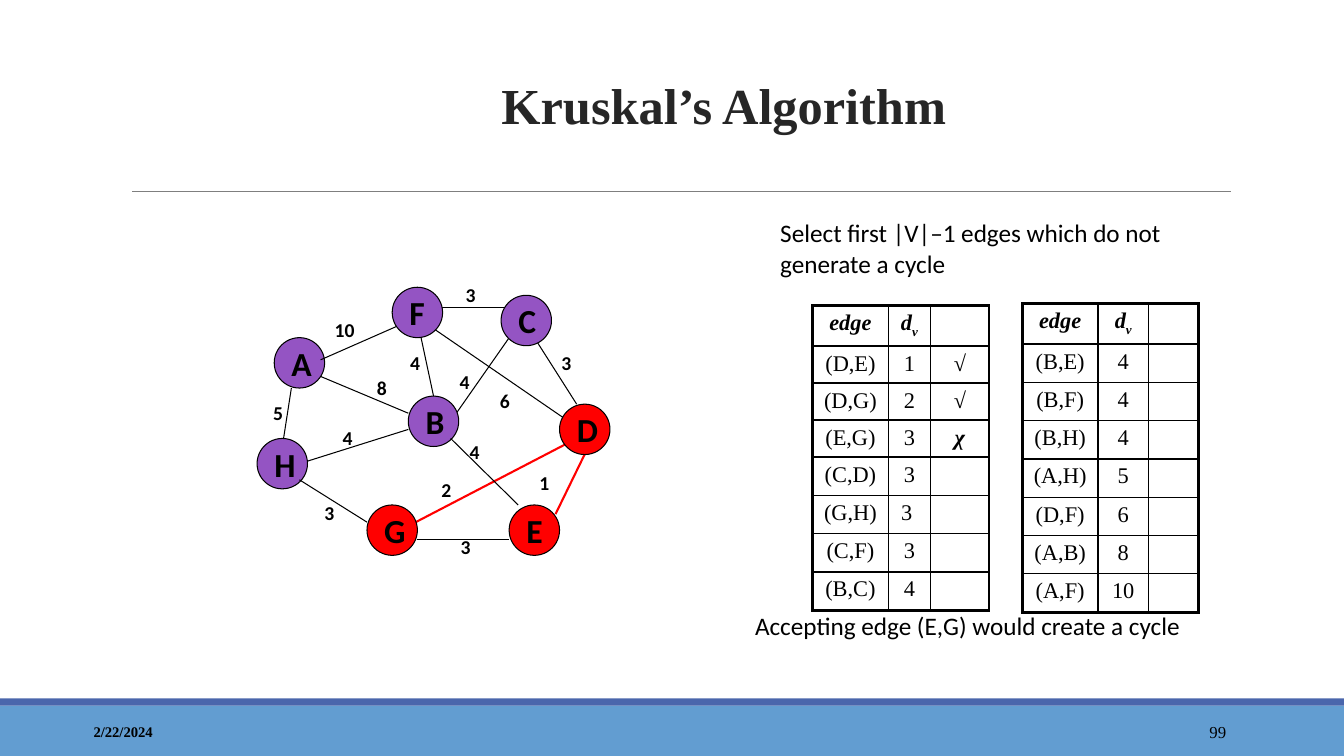
from lxml import etree
from pptx import Presentation
from pptx.dml.color import RGBColor
from pptx.enum import shapes, text
from pptx.oxml.ns import qn
from pptx.util import Inches, Pt

BLACK = RGBColor(0, 0, 0)
TITLE_GRAY = RGBColor(0x26, 0x26, 0x26)
RULE_GRAY = RGBColor(0x7F, 0x7F, 0x7F)
FOOTER_BLUE = RGBColor(0x62, 0x9D, 0xD1)
STRIPE_BLUE = RGBColor(0x4A, 0x66, 0xAC)
PURPLE = RGBColor(0x94, 0x54, 0xC3)
RED = RGBColor(0xFF, 0, 0)
SERIF, SANS = "Times New Roman", "Calibri"

TITLE = "Kruskal’s Algorithm"
BARS = [((0, 7, 13.33, 0.5), FOOTER_BLUE), ((0, 6.93, 13.33, 0.07), STRIPE_BLUE)]
DATE, PAGE = "2/22/2024", "99"
CAPTIONS = [
    ("Select first |V|–1 edges which do not generate a cycle", (7.64, 2.11, 4.42, 0.77)),
    ("Accepting edge (E,G) would create a cycle", (7.39, 6.01, 5.08, 0.43)),
]

NODE_SIZE = 0.5
NODES = {
    "A": (2.72, 3.35), "H": (2.55, 4.35), "B": (4.05, 3.93), "F": (3.89, 2.85),
    "E": (5.05, 5.01), "D": (5.55, 4.01), "C": (4.97, 2.93), "G": (3.64, 5.01),
}
REACHED = "DEG"
ACCEPTED = ("DE", "DG")
WIDE_LABELS = ("DE", "BE", "DF", "AF")
EDGES_BEHIND = [
    ("DE", (5.92, 4.26), (5.51, 5.1), "1", (5.25, 4.62)),
    ("BF", (4.14, 3.18), (4.3, 3.93), "4", (3.97, 3.43)),
    ("BC", (4.47, 4.18), (5.05, 3.35), "4", (4.46, 3.62)),
    ("DF", (5.64, 4.18), (4.3, 3.26), "6", (4.86, 3.81)),
    ("BH", (2.97, 4.6), (4.05, 4.26), "4", (3.3, 4.18)),
    ("DG", (3.97, 5.26), (5.72, 4.35), "2", (4.28, 4.69)),
    ("AH", (2.8, 4.43), (2.89, 3.85), "5", (2.61, 3.93)),
    ("AB", (3.05, 3.68), (4.05, 4.1), "8", (3.64, 3.68)),
    ("CF", (4.35, 3.05), (5.02, 3.05), "3", (4.52, 2.76)),
    ("CD", (5.3, 3.35), (5.72, 4.01), "3", (5.47, 3.43)),
]
EDGES_IN_FRONT = [
    ("BE", (4.47, 4.35), (5.14, 5.01), "4", (4.56, 4.32)),
    ("EG", (5.05, 5.35), (4.14, 5.35), "3", (4.47, 5.26)),
    ("GH", (3.64, 5.18), (2.97, 4.76), "3", (3.12, 4.92)),
    ("AF", (3.18, 3.57), (3.93, 3.24), "10", (3.22, 3.1)),
]

HEADER = ("edge", "dv", "")
EDGE_TABLES = [
    ((8.06, 3.03), (0.75, 0.42, 0.58), [0.37] + [0.35] * 3 + [0.38] * 4, [
        HEADER, ("(D,E)", "1", "√"), ("(D,G)", "2", "√"), ("(E,G)", "3", "χ"),
        ("(C,D)", "3", ""), ("(G,H)", "3 ", ""), ("(C,F)", "3", ""), ("(B,C)", "4", "")]),
    ((10.14, 3.01), (0.75, 0.5, 0.5), [0.38] * 8, [
        HEADER, ("(B,E)", "4", ""), ("(B,F)", "4", ""), ("(B,H)", "4", ""),
        ("(A,H)", "5", ""), ("(D,F)", "6", ""), ("(A,B)", "8", ""), ("(A,F)", "10", "")]),
]

prs = Presentation()
prs.slide_width, prs.slide_height = Inches(13.33), Inches(7.5)
slide = prs.slides.add_slide(prs.slide_layouts[5])


def style(run, size, face, bold=False, italic=False, color=BLACK):
    font = run.font
    font.size, font.name, font.bold, font.italic = Pt(size), face, bold, italic
    font.color.rgb = color


def write(frame, words, size, face, bold=False, color=BLACK,
          align=text.PP_ALIGN.LEFT, anchor=text.MSO_ANCHOR.TOP):
    frame.word_wrap = True
    frame.vertical_anchor = anchor
    frame.text = words
    frame.paragraphs[0].alignment = align
    style(frame.paragraphs[0].runs[0], size, face, bold, color=color)


def add_text(words, box, size, face, **options):
    label = slide.shapes.add_textbox(*map(Inches, box))
    write(label.text_frame, words, size, face, **options)


def add_line(start, end, color, width):
    line = slide.shapes.add_connector(shapes.MSO_CONNECTOR.STRAIGHT,
                                      *map(Inches, start + end))
    line.line.color.rgb = color
    line.line.width = Pt(width)
    etree.SubElement(line._element.spPr, qn("a:effectLst"))


def add_solid(kind, box, fill):
    solid = slide.shapes.add_shape(kind, *map(Inches, box))
    solid.shadow.inherit = False
    solid.fill.solid()
    solid.fill.fore_color.rgb = fill
    solid.line.fill.background()
    return solid


def add_edges(edges):
    for name, start, end, weight, place in edges:
        accepted = name in ACCEPTED
        add_line(start, end, RED if accepted else BLACK, 1.5 if accepted else 0.75)
        width = 0.52 if name in WIDE_LABELS else 0.33
        add_text(weight, place + (width, 0.33), 14, SANS, bold=True)


def border(cell, **widths):
    properties = cell._tc.get_or_add_tcPr()
    for side, width in widths.items():
        line = etree.SubElement(properties, qn("a:ln" + side), w=str(Pt(width)))
        fill = etree.SubElement(line, qn("a:solidFill"))
        etree.SubElement(fill, qn("a:srgbClr"), val=str(BLACK))


def fill_cell(cell, words, header, mark):
    paragraph = cell.text_frame.paragraphs[0]
    paragraph.alignment = text.PP_ALIGN.CENTER
    if not words:
        ending = etree.SubElement(paragraph._p, qn("a:endParaRPr"), sz="1600")
        etree.SubElement(ending, qn("a:latin"), typeface=SERIF)
    parts = words if words == "dv" else [words] if words else []
    for part in parts:
        run = paragraph.add_run()
        run.text = part
        style(run, 16, SERIF, header or mark, header or mark)
        if part == "v":
            run.font._element.set("baseline", "-25000")


def add_edge_table(place, columns, heights, rows):
    grid = slide.shapes.add_table(len(rows), len(columns), *map(
        Inches, place + (sum(columns), sum(heights)))).table
    grid.first_row = grid.horz_banding = False
    for column, width in zip(grid.columns, columns):
        column.width = Inches(width)
    for r, (row, height) in enumerate(zip(rows, heights)):
        grid.rows[r].height = Inches(height)
        for c, words in enumerate(row):
            cell = grid.cell(r, c)
            fill_cell(cell, words, r == 0, c == 2)
            at_rim = {"L": c == 0, "R": c == len(columns) - 1,
                      "T": r == 0, "B": r == len(rows) - 1}
            border(cell, **{side: 2.25 if rim else 1 for side, rim in at_rim.items()})
            cell.fill.background()


title = slide.shapes.title
title.left, title.top, title.width, title.height = map(Inches, (1.68, 0.33, 11, 1.06))
write(title.text_frame, TITLE, 36, SERIF, bold=True, color=TITLE_GRAY,
      align=text.PP_ALIGN.CENTER, anchor=text.MSO_ANCHOR.BOTTOM)
title.text_frame.paragraphs[0].line_spacing = 1.1

for box, color in BARS:
    add_solid(shapes.MSO_SHAPE.RECTANGLE, box, color)
add_line((1.31, 1.9), (12.21, 1.9), RULE_GRAY, 0.75)
add_text(DATE, (0.83, 7.06, 3, 0.4), 10.5, SERIF, bold=True, anchor=text.MSO_ANCHOR.MIDDLE)
add_text(PAGE, (10.83, 7.06, 1.43, 0.4), 12, SERIF,
         align=text.PP_ALIGN.RIGHT, anchor=text.MSO_ANCHOR.MIDDLE)

for edge_table in EDGE_TABLES:
    add_edge_table(*edge_table)
for words, box in CAPTIONS:
    add_text(words, box, 18, SANS)

add_edges(EDGES_BEHIND)
for letter, place in NODES.items():
    node = add_solid(shapes.MSO_SHAPE.OVAL, place + (NODE_SIZE, NODE_SIZE),
                     RED if letter in REACHED else PURPLE)
    node.line.color.rgb = BLACK
    node.line.width = Pt(0.75)
    write(node.text_frame, letter, 24, SANS, bold=True, anchor=text.MSO_ANCHOR.MIDDLE)
add_edges(EDGES_IN_FRONT)

prs.save("out.pptx")
